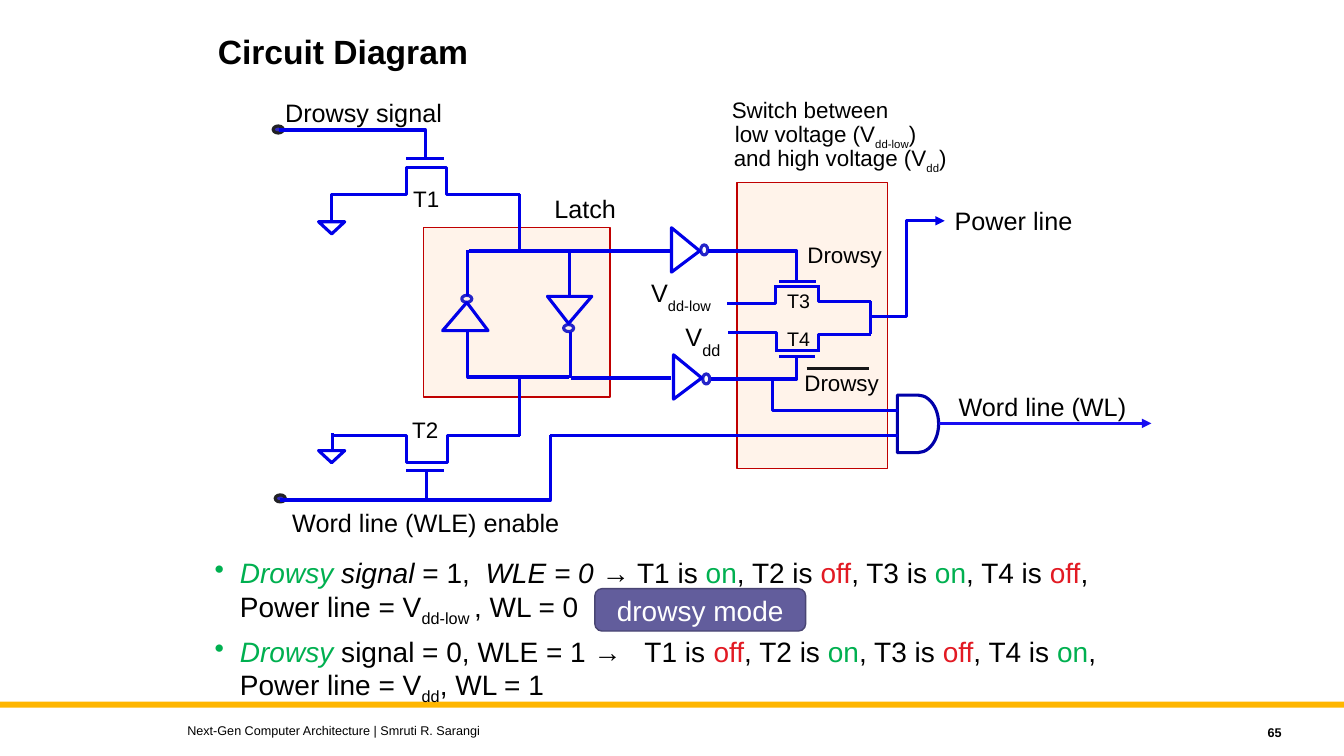
"""Build the slide with the drowsy word line circuit diagram."""
import pptx
import pptx.util
import pptx.dml.color
import pptx.enum.shapes
import pptx.enum.text
import pptx.oxml.ns
import lxml.etree

Inches = pptx.util.Inches
Pt = pptx.util.Pt
qn = pptx.oxml.ns.qn
Shape = pptx.enum.shapes.MSO_SHAPE
Align = pptx.enum.text.PP_ALIGN
Anchor = pptx.enum.text.MSO_ANCHOR
Fit = pptx.enum.text.MSO_AUTO_SIZE
HEX = {"wire": "0000E8", "gate": "0000A9", "ring": "2424C8", "out": "180DF1",
       "dark": "212125", "dot": "3229BB", "panel": "FFE6D5", "edge": "C00000",
       "bar": "FFB600", "mode": "625D9C", "rim": "494573", "ink": "000000",
       "on": "00B050", "off": "E21A23", "white": "FFFFFF", "over": "171719"}
RGB = {name: pptx.dml.color.RGBColor.from_string(code) for name, code in HEX.items()}

deck = pptx.Presentation()
deck.slide_width = Inches(13.33)
deck.slide_height = Inches(7.5)
slide = deck.slides.add_slide(deck.slide_layouts[5])
shapes = slide.shapes


def wire(points, tint="wire", close=False, arrow=False):
    """Draw a line through points given in inches."""
    spots = [(Inches(x), Inches(y)) for x, y in points]
    if len(spots) == 2:
        kind = pptx.enum.shapes.MSO_CONNECTOR.STRAIGHT
        item = shapes.add_connector(kind, *spots[0], *spots[1])
    else:
        pen = shapes.build_freeform(*spots[0])
        pen.add_line_segments(spots[1:], close=close)
        item = pen.convert_to_shape()
        item.fill.background()
    item.line.color.rgb = RGB[tint]
    item.line.width = Pt(2.25)
    props = item._element.spPr
    if arrow:
        lxml.etree.SubElement(props.find(qn("a:ln")), qn("a:tailEnd"), type="triangle")
    lxml.etree.SubElement(props, qn("a:effectLst"))


def write(par, runs, size, tint="ink", **look):
    """Add runs of (text, changes) to a paragraph."""
    for text, extra in runs:
        fmt = {"name": "Arial", "size": Pt(size), "tint": tint, "drop": 0, **look, **extra}
        run = par.add_run()
        run.text = text
        run.font.color.rgb = RGB[fmt.pop("tint")]
        drop = fmt.pop("drop")
        if drop:
            run._r.get_or_add_rPr().set("baseline", str(drop * 1000))
        for key, value in fmt.items():
            setattr(run.font, key, value)


title = shapes.title
place = {"left": 2.06, "top": 0.3, "width": 7.5, "height": 0.54}
for key, value in place.items():
    setattr(title, key, Inches(value))
title.text_frame.vertical_anchor = Anchor.TOP
title.text_frame.auto_size = Fit.NONE
head = title.text_frame.paragraphs[0]
head.alignment = Align.LEFT
head.line_spacing = 0.9
write(head, [("Circuit Diagram", {})], 24, bold=True)

blocks = [
    (Shape.RECTANGLE, (0, 6.96, 13.33, 0.06), "bar", None, 0),
    (Shape.RECTANGLE, (4.2, 2.26, 1.85, 1.68), "panel", "edge", 1),
    (Shape.RECTANGLE, (7.31, 1.81, 1.49, 2.84), "panel", "edge", 1),
    (Shape.FLOWCHART_DELAY, (8.9, 3.92, 0.41, 0.57), None, "gate", 2.25),
    (Shape.OVAL, (2.71, 1.25, 0.1, 0.07), "dot", "dark", 2.25),
    (Shape.OVAL, (2.73, 4.91, 0.1, 0.07), "dot", "dark", 2.25),
    (Shape.OVAL, (5.59, 3.22, 0.1, 0.07), None, "ring", 2.25),
    (Shape.OVAL, (4.58, 2.93, 0.1, 0.07), None, "ring", 2.25),
    (Shape.OVAL, (6.95, 2.43, 0.07, 0.1), None, "ring", 2.25),
    (Shape.OVAL, (6.97, 3.71, 0.07, 0.1), None, "ring", 2.25),
]
for kind, box, fill, edge, width in blocks:
    block = shapes.add_shape(kind, *map(Inches, box))
    block.shadow.inherit = False
    if fill:
        block.fill.solid()
        block.fill.fore_color.rgb = RGB[fill]
    else:
        block.fill.background()
    if fill == "panel":
        color = block._element.spPr.find(".//" + qn("a:srgbClr"))
        lxml.etree.SubElement(color, qn("a:alpha"), val="48000")
    if edge:
        block.line.color.rgb = RGB[edge]
        block.line.width = Pt(width)
    else:
        block.line.fill.background()

wires = [
    [(3.29, 2.2), (3.29, 1.93), (4.03, 1.93), (4.03, 1.66), (4.43, 1.66), (4.43, 1.93), (5.16, 1.93)],
    [(4.03, 1.57), (4.4, 1.57)],
    [(4.22, 1.57), (4.22, 1.29), (2.77, 1.29)],
    [(5.15, 1.92), (5.15, 2.5)],
    [(4.65, 2.49), (5.65, 2.49), (5.65, 2.93)],
    [(4.64, 2.48), (4.64, 2.94)],
    [(4.64, 3.29), (4.64, 3.74), (5.64, 3.74)],
    [(5.66, 3.29), (5.66, 3.75)],
    [(3.29, 4.32), (4.03, 4.32), (4.03, 4.59), (4.44, 4.59), (4.44, 4.32), (5.16, 4.32)],
    [(4.03, 4.67), (4.4, 4.67)],
    [(4.23, 4.67), (4.23, 4.96), (2.78, 4.96)],
    [(5.15, 4.33), (5.15, 3.75)],
    [(3.3, 4.3), (3.3, 4.48)],
    [(5.65, 2.49), (6.65, 2.49)],
    [(5.66, 3.75), (6.66, 3.75)],
    [(7.02, 2.49), (7.9, 2.49), (7.9, 2.79)],
    [(7.73, 2.79), (8.09, 2.79)],
    [(7.68, 2.84), (8.13, 2.84)],
    [(7.69, 2.84), (7.69, 3.01), (7.21, 3.01)],
    [(8.12, 2.84), (8.12, 2.99), (8.64, 2.99)],
    [(7.7, 3.47), (7.7, 3.3), (7.22, 3.3)],
    [(8.12, 3.48), (8.12, 3.32), (8.64, 3.32)],
    [(7.69, 3.48), (8.13, 3.48)],
    [(7.73, 3.54), (8.08, 3.54)],
    [(7.05, 3.76), (7.9, 3.76), (7.9, 3.53)],
    [(8.63, 2.99), (8.63, 3.31)],
    [(5.46, 4.32), (8.91, 4.32)],
    [(7.66, 3.77), (7.66, 4.07), (8.91, 4.07)],
    [(4.22, 4.96), (5.46, 4.96), (5.46, 4.32)],
]
for points in wires:
    wire(points)
for y in (2.2, 4.47):
    wire([(3.16, y), (3.42, y), (3.29, y + 0.12)], close=True)
for x, y in ((6.66, 2.26), (6.68, 3.52)):
    wire([(x, y + 0.44), (x, y), (x + 0.28, y + 0.23)], close=True)
wire([(5.43, 2.94), (5.87, 2.94), (5.64, 3.21)], close=True)
wire([(4.84, 3.28), (4.39, 3.28), (4.63, 3)], close=True)
wire([(8.62, 3.14), (8.99, 3.14), (8.99, 2.19), (9.37, 2.19)], arrow=True)
wire([(9.31, 4.2), (11.42, 4.2)], "out", arrow=True)
wire([(8, 3.66), (8.62, 3.66)], "over")

labels = [
    ("Drowsy signal", 2.73, 0.92, 1.77, 18),
    ("Word line (WLE) enable", 2.8, 4.98, 2.88, 18),
    ("Power line", 9.37, 1.99, 1.38, 18),
    ("Drowsy", 7.91, 2.34, 0.95, 16),
    ("Drowsy", 7.88, 3.61, 0.95, 16),
    ("V|dd-low", 6.36, 2.7, 0.86, 18, 18, -36),
    ("V|dd", 6.7, 3.11, 0.58, 18, 20, -37),
    ("Latch", 5.4, 1.87, 0.82, 18),
    ("Word line (WL)", 9.41, 3.83, 1.95, 18),
    ("Switch between", 7.16, 0.9, 1.77, 16),
    ("low voltage (V|dd-low|)", 7.19, 1.14, 2.07, 16, 14, -33),
    ("and high voltage (V|dd|)", 7.18, 1.38, 2.36, 16, 14, -33),
    ("T1", 4, 1.79, 0.46, 16),
    ("T2", 3.99, 4.08, 0.46, 16),
    ("T3", 7.71, 2.82, 0.43, 14),
    ("T4", 7.71, 3.19, 0.43, 14),
]
tall = {14: 0.34, 16: 0.37, 18: 0.4}
for text, x, y, width, size, *sub in labels:
    box = shapes.add_textbox(*map(Inches, (x, y, width, tall[size])))
    box.text_frame.word_wrap = False
    box.text_frame.auto_size = Fit.SHAPE_TO_FIT_TEXT
    low = {"size": Pt(sub[0]), "drop": sub[1]} if sub else {}
    runs = [(part, low if i % 2 else {}) for i, part in enumerate(text.split("|"))]
    write(box.text_frame.paragraphs[0], runs, size)

feet = [("Next-Gen Computer Architecture | Smruti R. Sarangi", (1.76, 7.12, 8, 0.25), Align.LEFT, False),
        ("65", (11.41, 7.14, 1.4, 0.25), Align.RIGHT, True)]
for text, place, side, bold in feet:
    frame = shapes.add_textbox(*map(Inches, place)).text_frame
    frame.word_wrap = True
    frame.vertical_anchor = Anchor.MIDDLE
    frame.paragraphs[0].alignment = side
    write(frame.paragraphs[0], [(text, {})], 9, bold=bold)

on, off = ("on", {"tint": "on"}), ("off", {"tint": "off"})
name = ("Drowsy", {"tint": "on", "italic": True})
slant, low = {"italic": True}, {"drop": -25}
cases = [
    ([name, (" signal ", slant), ("= 1, ", {}), (" WLE = 0 ", slant), ("→ T1 is ", {})],
     [on, off, on, off], "dd-low ", ", WL = 0"),
    ([name, (" signal = 0, WLE = 1 →   T1 is ", {})], [off, on, off, on], "dd", ", WL = 1"),
]
frame = shapes.add_textbox(*map(Inches, (2.06, 5.51, 9.36, 1.83))).text_frame
frame.word_wrap = True
pads = {"left": 0.07, "right": 0.07, "top": 0.04, "bottom": 0.04}
for side, pad in pads.items():
    setattr(frame, "margin_" + side, Inches(pad))
for i, (start, states, volt, end) in enumerate(cases):
    par = frame.add_paragraph() if i else frame.paragraphs[0]
    props = par._p.get_or_add_pPr()
    props.set("marL", str(Inches(0.25)))
    props.set("indent", str(-Inches(0.25)))
    lxml.etree.SubElement(props, qn("a:buChar"), char="•")
    par.line_spacing = 0.9
    par.space_before = Pt(10 * i)
    joins = [", T2 is ", ", T3 is ", ", T4 is ", ", Power line = V"]
    runs = [run for state, join in zip(states, joins) for run in (state, (join, {}))]
    write(par, start + runs + [(volt, low), (end, {})], 20)

badge = shapes.add_shape(Shape.ROUNDED_RECTANGLE, *map(Inches, (5.9, 5.84, 2.09, 0.42)))
badge.shadow.inherit = False
badge.fill.solid()
badge.fill.fore_color.rgb = RGB["mode"]
badge.line.color.rgb = RGB["rim"]
badge.line.width = Pt(1)
badge.text_frame.vertical_anchor = Anchor.MIDDLE
badge.text_frame.paragraphs[0].alignment = Align.CENTER
write(badge.text_frame.paragraphs[0], [("drowsy mode", {})], 20, "white")

deck.save("out.pptx")
